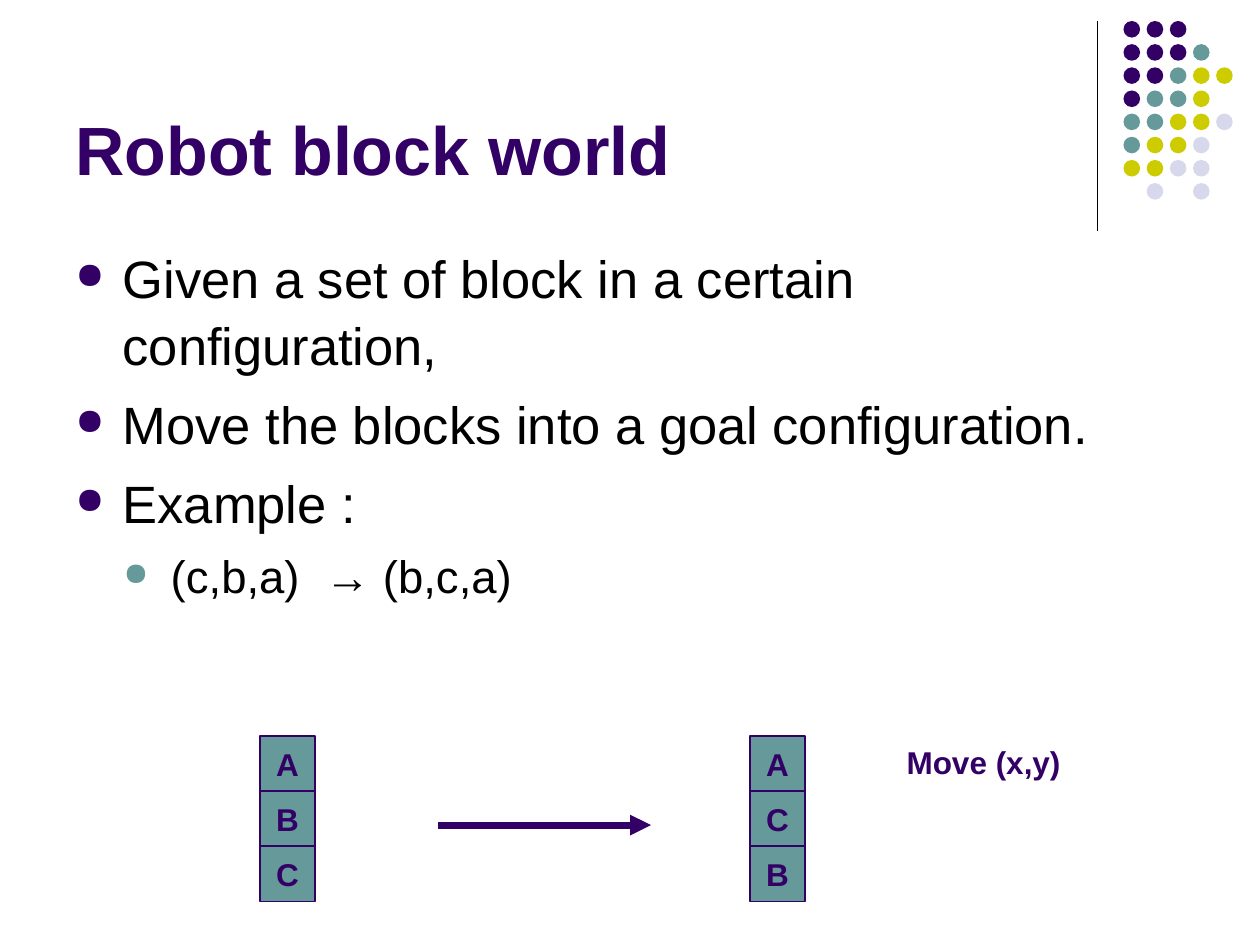
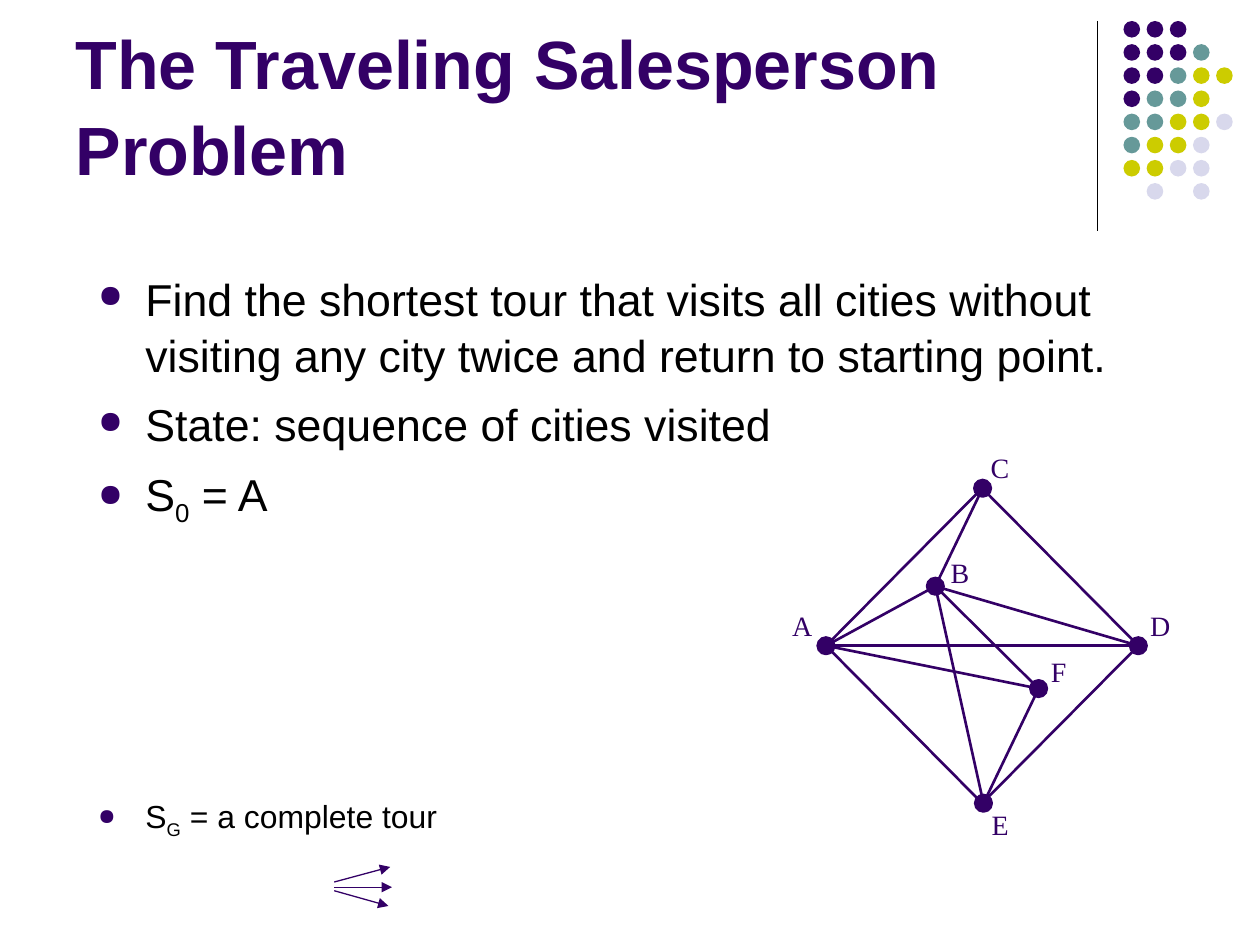
import pptx
import pptx.util
import pptx.dml.color
import pptx.enum.shapes
import pptx.enum.text
import pptx.oxml
import pptx.oxml.ns

Pt = pptx.util.Pt
KIND = pptx.enum.shapes.MSO_SHAPE
ALIGN = pptx.enum.text.PP_ALIGN
ANCHOR = pptx.enum.text.MSO_ANCHOR

# Shared style
HUES = {"plum": "330066", "teal": "669999", "lime": "CCCC00",
        "pale": "D8D8EC", "ink": "000000"}
DOTS = ["PPP", "PPPT", "PPTLL"[:4] + "L", "PTTL", "TTLLW", "TLLW", "LLWW", " W W"]
KEYS = {"P": "plum", "T": "teal", "L": "lime", "W": "pale"}

# Slide 1 content: (text, level); text between bars is subscript
ROBOT = {
    "title": "Robot block world",
    "points": [("Given a set of block in a certain configuration,", 0),
               ("Move the blocks into a goal configuration.", 0),
               ("Example :", 0),
               ("(c,b,a)  → (b,c,a)", 1)],
    "stacks": [(148.5, "ABC"), (428.5, "ACB")],
    "move": "Move (x,y)",
}

# Slide 2 content
TOUR = {
    "title": "The Traveling Salesperson Problem",
    "points": [("Find the shortest tour that visits all cities without "
                "visiting any city twice and return to starting point.", 0),
               ("State: sequence of cities visited", 0),
               ("S|0| = A", 0)],
    "goal": [("S|G| = a complete tour", 0)],
    # city: centre x, y, label offset x, y
    "cities": {"A": (472, 369, -13.5, -11.5), "B": (534.5, 335, 14, -8),
               "C": (561.5, 279, 10, -12), "D": (650.5, 369, 12.5, -11.5),
               "E": (562, 459, 9.5, 12), "F": (593.5, 393.5, 11.5, -9.5)},
    "roads": ["AD", "BF", "EF", "AB", "AF", "CB", "EB", "DB"],
    "fan": [(504, 223, 495.4), (507, 224, 507), (509, 222, 517.7)],
}

# Level: size, left indent, space before, bullet colour
LEVELS = [(30, 27, 7.5, "plum"), (26, 54.5, 6.5, "teal")]


def hue(name):
    return pptx.dml.color.RGBColor.from_string(HUES[name])


def node(tag, **attrs):
    item = pptx.oxml.parse_xml(f"<a:{tag} {pptx.oxml.ns.nsdecls('a')}/>")
    for key, value in attrs.items():
        item.set(key, value)
    return item


def bullet(para, left, color):
    props = para._p.get_or_add_pPr()
    props.set("marL", str(Pt(left)))
    props.set("indent", str(-Pt(27)))
    tint = node("buClr")
    tint.append(node("srgbClr", val=HUES[color]))
    for item in (tint, node("buSzPct", val="70000"), node("buChar", char="●")):
        props.append(item)


def write(shape, text, size=18, color="plum", face="Arial", bold=False,
          align=ALIGN.LEFT, anchor=ANCHOR.TOP, wrap=True, lead=None):
    """Fill a shape with a string or with a list of (text, level) bullets."""
    frame = shape.text_frame
    frame.word_wrap = wrap
    frame.auto_size = pptx.enum.text.MSO_AUTO_SIZE.NONE
    frame.vertical_anchor = anchor
    rows = [(text, None)] if isinstance(text, str) else text
    for i, (line, level) in enumerate(rows):
        para = frame.add_paragraph() if i else frame.paragraphs[0]
        para.alignment = align
        big = size
        if level is not None:
            base, left, gap, tint = LEVELS[level]
            big = size if level == 0 else base
            bullet(para, left, tint)
            para.space_before = Pt(gap if i else 0)
        if lead:
            para.line_spacing = lead
        for j, part in enumerate(line.split("|")):
            run = para.add_run()
            run.text = part
            run.font.size, run.font.name = Pt(big), face
            run.font.bold = bold
            run.font.color.rgb = hue(color)
            if j % 2:
                run._r.get_or_add_rPr().set("baseline", "-25000")


def label(slide, text, x, y, w, h, **style):
    write(slide.shapes.add_textbox(Pt(x), Pt(y), Pt(w), Pt(h)), text, **style)


def shape(slide, kind, x, y, w, h, fill=None, line=None, width=0.75):
    item = slide.shapes.add_shape(kind, Pt(x), Pt(y), Pt(w), Pt(h))
    item.shadow.inherit = False
    if fill:
        item.fill.solid()
        item.fill.fore_color.rgb = hue(fill)
    else:
        item.fill.background()
    if line:
        item.line.color.rgb = hue(line)
        item.line.width = Pt(width)
    else:
        item.line.fill.background()
    return item


def link(slide, x1, y1, x2, y2, color="plum", width=0.75, arrow=False):
    item = slide.shapes.add_connector(
        pptx.enum.shapes.MSO_CONNECTOR.STRAIGHT, Pt(x1), Pt(y1), Pt(x2), Pt(y2))
    item.line.color.rgb = hue(color)
    item.line.width = Pt(width)
    if arrow:
        item.line._get_or_add_ln().append(node("tailEnd", type="triangle"))
    item._element.spPr.append(node("effectLst"))


def start(deck, title):
    """Add a slide with its title, rule and dot pattern."""
    slide = deck.slides.add_slide(deck.slide_layouts[5])
    link(slide, 627, 12, 627, 132, color="ink")
    for row, marks in enumerate(DOTS):
        for col, mark in enumerate(marks):
            if mark in KEYS:
                shape(slide, KIND.OVAL, 642 + col * 13.23, 12 + row * 13.23,
                      9.5, 9.5, fill=KEYS[mark])
    head = slide.shapes.title
    head.left, head.top, head.width, head.height = Pt(36), Pt(9.5), Pt(594), Pt(102)
    write(head, title, size=39, bold=True, anchor=ANCHOR.BOTTOM, lead=1.05)
    return slide


def robot(deck):
    slide = start(deck, ROBOT["title"])
    label(slide, ROBOT["points"], 36, 135.5, 640, 347, size=30, color="ink", lead=1.05)
    # Block stacks before and after
    side = 31.5
    for x, names in ROBOT["stacks"]:
        for i, name in enumerate(names):
            block = shape(slide, KIND.RECTANGLE, x, 420.5 + i * side, side, side,
                          fill="teal", line="plum")
            write(block, name, bold=True, align=ALIGN.CENTER,
                  anchor=ANCHOR.MIDDLE, wrap=False)
    link(slide, 250.5, 471.5, 372, 471.5, width=4, arrow=True)
    label(slide, ROBOT["move"], 511, 421, 102, 29, bold=True, wrap=False)


def tour(deck):
    slide = start(deck, TOUR["title"])
    label(slide, TOUR["points"], 49, 150, 648, 145, size=25.5, color="ink", lead=1.05)
    label(slide, TOUR["goal"], 49, 451.5, 648, 34.5, size=18.2, color="ink")
    # Fan of arrows
    for y, tip, end in TOUR["fan"]:
        link(slide, 191, y, tip, end, arrow=True)
    # City graph: outer ring, roads, cities
    spots = TOUR["cities"]
    left, top = spots["A"][0], spots["C"][1]
    shape(slide, KIND.DIAMOND, left, top, spots["D"][0] - left,
          spots["E"][1] - top, line="plum", width=1.5)
    for a, b in TOUR["roads"]:
        link(slide, *spots[a][:2], *spots[b][:2], width=1.5)
    for name, (x, y, dx, dy) in spots.items():
        shape(slide, KIND.OVAL, x - 4.7, y - 4.7, 9.4, 9.4,
              fill="plum", line="plum", width=1.5)
        label(slide, name, x + dx - 12.5, y + dy - 13.3, 25, 26.6, size=16,
              face="Times New Roman", align=ALIGN.CENTER, wrap=False)


def main():
    deck = pptx.Presentation()
    deck.slide_width, deck.slide_height = Pt(720), Pt(540)
    robot(deck)
    tour(deck)
    deck.save("out.pptx")


if __name__ == "__main__":
    main()
